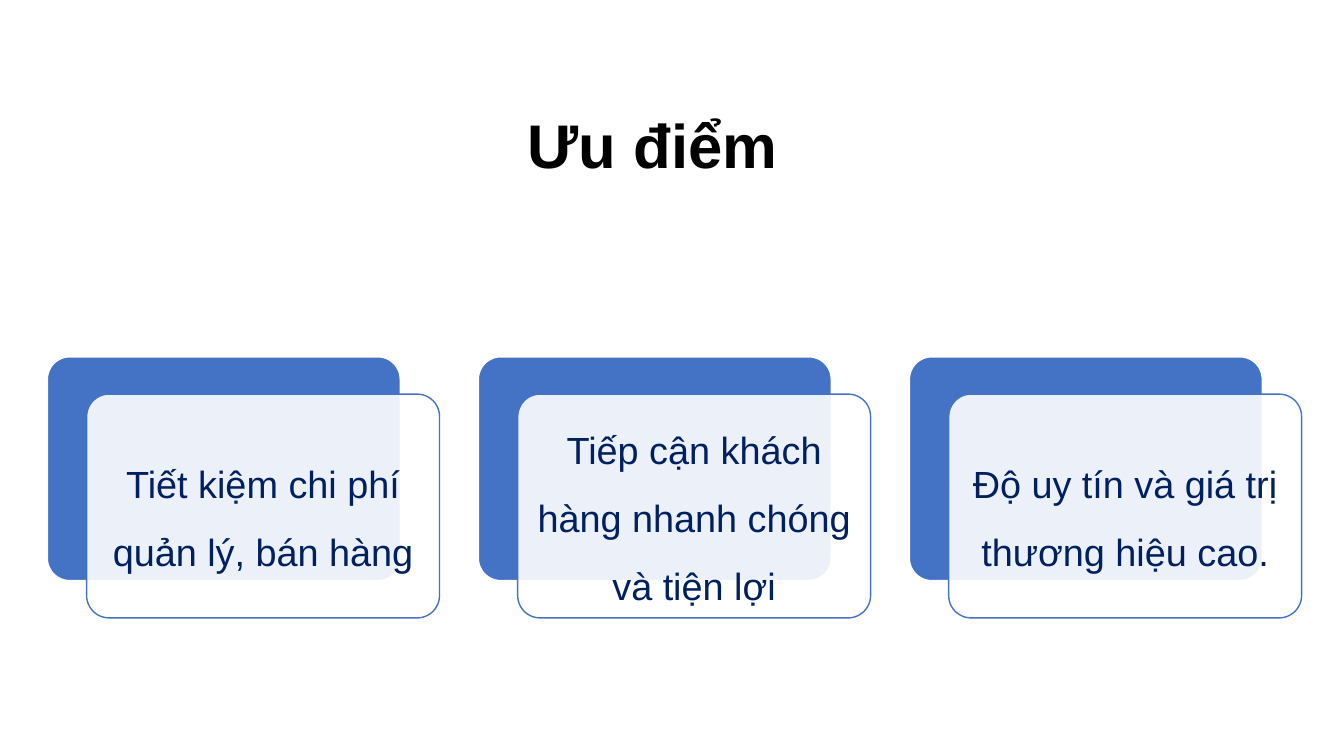
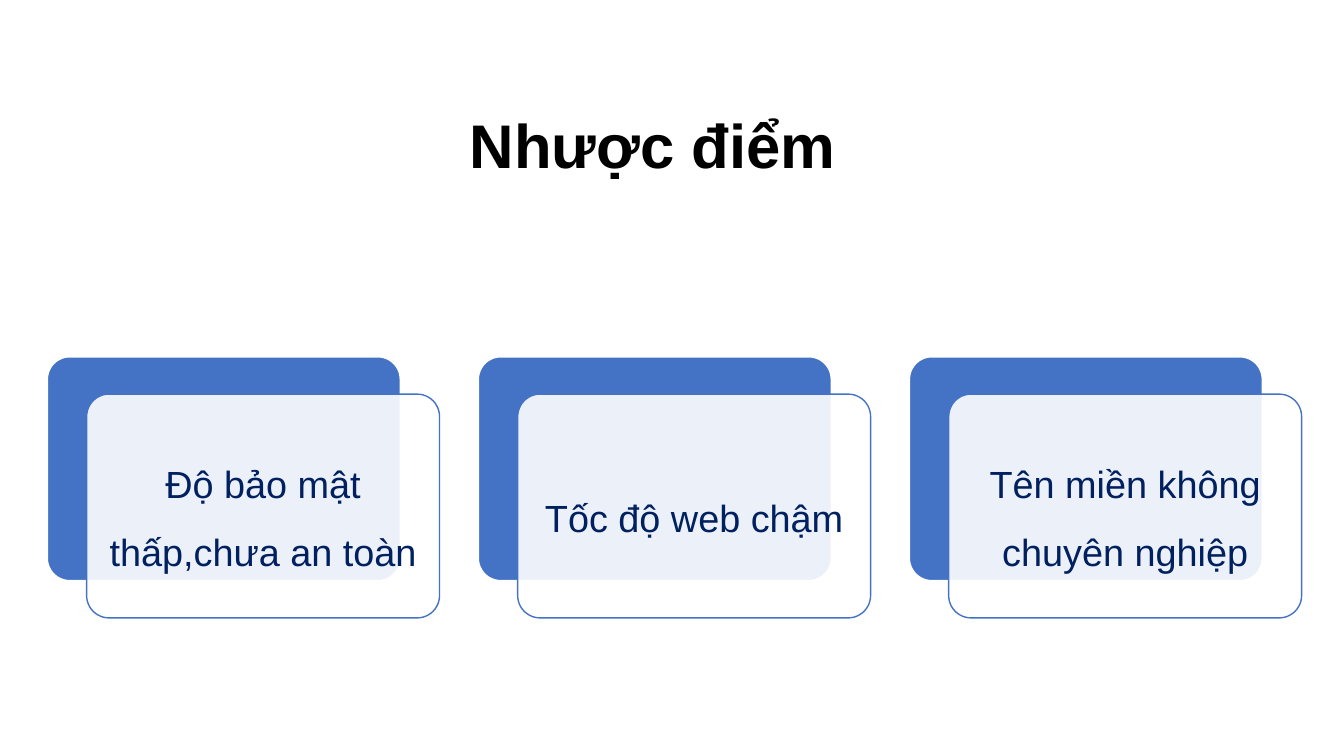
"""Build two slides that list the advantages and drawbacks on layered cards."""
from dataclasses import dataclass

from lxml.etree import SubElement
from pptx import Presentation
from pptx.dml.color import RGBColor
from pptx.enum.shapes import MSO_SHAPE
from pptx.enum.text import MSO_ANCHOR, MSO_AUTO_SIZE, PP_ALIGN
from pptx.oxml.ns import qn
from pptx.presentation import Presentation as Deck
from pptx.shapes.autoshape import Shape
from pptx.slide import Slide
from pptx.text.text import TextFrame
from pptx.util import Inches, Pt

WHITE = RGBColor(0xFF, 0xFF, 0xFF)
BLACK = RGBColor(0x00, 0x00, 0x00)
BLUE = RGBColor(0x44, 0x72, 0xC4)
NAVY = RGBColor(0x00, 0x20, 0x60)

FONT = "Arial"
SLIDE_WIDTH, SLIDE_HEIGHT = 13.33, 7.5
TITLE_BOX = (0.53, 0.4, 11.89, 1.45)
TITLE_ONLY_LAYOUT = 5

FIRST_COLUMN, COLUMN_PITCH = 0.47, 4.275
CARD_TOP = 3.54
CARD_WIDTH, CARD_HEIGHT = 3.5, 2.22
FRONT_SHIFT_X, FRONT_SHIFT_Y = 0.39, 0.37
CORNER = 0.1
CARD_INSET = 0.11
FRONT_OPACITY = 90


@dataclass(frozen=True)
class Topic:
    heading: str
    points: tuple[str, ...]


TOPICS = (
    Topic("Ưu điểm", (
        "Tiết kiệm chi phí quản lý, bán hàng",
        "Tiếp cận khách hàng nhanh chóng và tiện lợi",
        "Độ uy tín và giá trị thương hiệu cao.",
    )),
    Topic("Nhược điểm", (
        "Độ bảo mật thấp,chưa an toàn",
        "Tốc độ web chậm",
        "Tên miền không chuyên nghiệp",
    )),
)


def write_centred(frame: TextFrame, wording: str, size: float, color: RGBColor,
                  line_spacing: float, bold: bool = False) -> None:
    frame.word_wrap = True
    frame.auto_size = MSO_AUTO_SIZE.NONE
    paragraph = frame.paragraphs[0]
    paragraph.alignment = PP_ALIGN.CENTER
    paragraph.line_spacing = line_spacing
    paragraph.space_before = Pt(0)
    run = paragraph.add_run()
    run.text = wording
    run.font.name = FONT
    run.font.size = Pt(size)
    run.font.bold = bold
    run.font.color.rgb = color


def add_panel(slide: Slide, left: float, top: float,
              fill: RGBColor, outline: RGBColor) -> Shape:
    panel = slide.shapes.add_shape(
        MSO_SHAPE.ROUNDED_RECTANGLE,
        Inches(left), Inches(top), Inches(CARD_WIDTH), Inches(CARD_HEIGHT))
    panel.adjustments[0] = CORNER
    panel.shadow.inherit = False
    panel.fill.solid()
    panel.fill.fore_color.rgb = fill
    panel.line.color.rgb = outline
    panel.line.width = Pt(1)
    return panel


def set_opacity(panel: Shape, percent: int) -> None:
    fill_color = panel.fill._xPr.find(qn("a:solidFill"))[0]
    SubElement(fill_color, qn("a:alpha")).set("val", str(percent * 1000))


def add_card(slide: Slide, column: int, point: str) -> None:
    left = FIRST_COLUMN + column * COLUMN_PITCH
    add_panel(slide, left, CARD_TOP, BLUE, WHITE)
    front = add_panel(slide, left + FRONT_SHIFT_X, CARD_TOP + FRONT_SHIFT_Y,
                      WHITE, BLUE)
    set_opacity(front, FRONT_OPACITY)
    frame = front.text_frame
    frame.vertical_anchor = MSO_ANCHOR.MIDDLE
    frame.margin_left = frame.margin_right = Inches(CARD_INSET)
    frame.margin_top = frame.margin_bottom = Inches(CARD_INSET)
    write_centred(frame, point, 27, NAVY, 1.5)


def add_topic_slide(deck: Deck, topic: Topic) -> None:
    slide = deck.slides.add_slide(deck.slide_layouts[TITLE_ONLY_LAYOUT])
    heading = slide.shapes.title
    heading.left, heading.top, heading.width, heading.height = map(Inches, TITLE_BOX)
    heading.text_frame.vertical_anchor = MSO_ANCHOR.BOTTOM
    write_centred(heading.text_frame, topic.heading, 44, BLACK, 0.9, bold=True)
    for column, point in enumerate(topic.points):
        add_card(slide, column, point)


def main() -> None:
    deck = Presentation()
    deck.slide_width = Inches(SLIDE_WIDTH)
    deck.slide_height = Inches(SLIDE_HEIGHT)
    for topic in TOPICS:
        add_topic_slide(deck, topic)
    deck.save("out.pptx")


if __name__ == "__main__":
    main()
